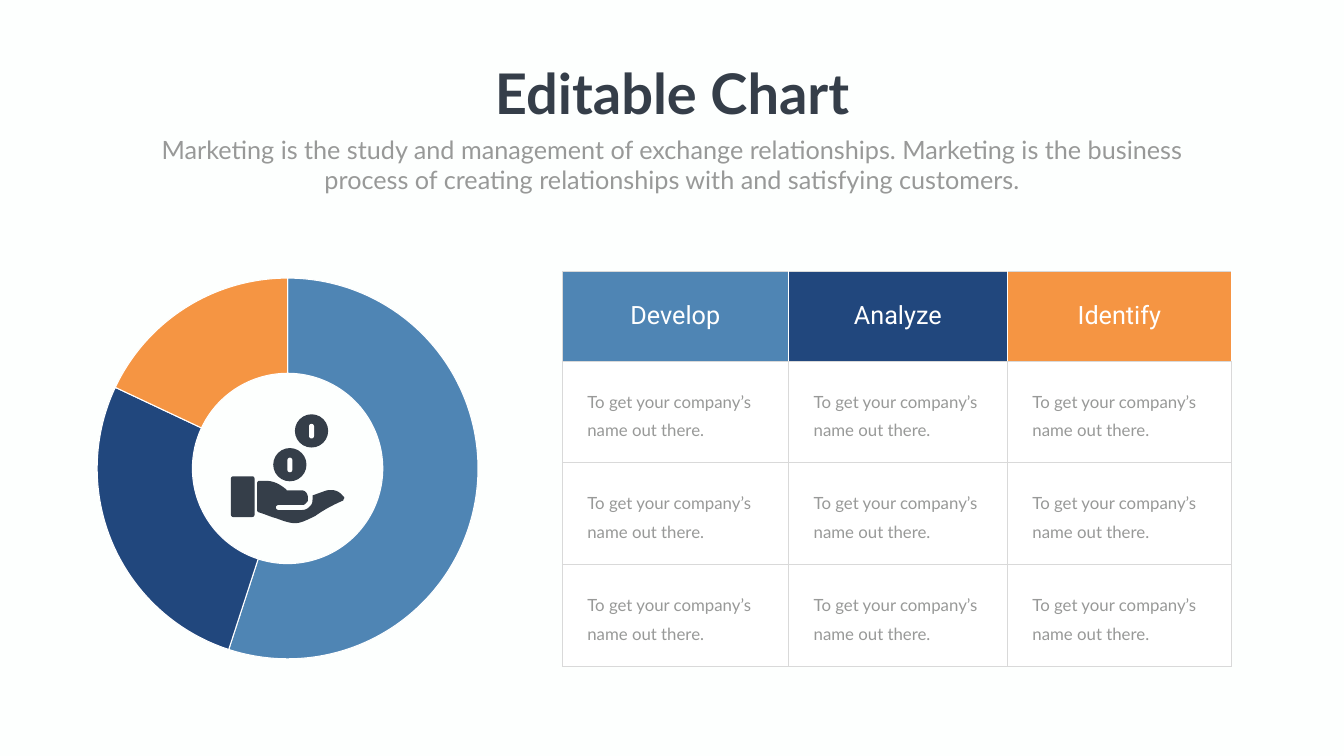
from lxml import etree
from pptx import Presentation
from pptx import util as u
from pptx.chart import data
from pptx.dml.color import RGBColor
from pptx.enum import chart as charts, shapes, text
from pptx.oxml import ns

DARK, GRAY, WHITE, BORDER = "353E49", "989998", "FFFFFF", "D9D9D9"
PALETTE = ["4F85B4", "21477D", "F59543"]
color = RGBColor.from_string


def add_run(paragraph, words, size, font_name, hex_color, bold=False):
    run = paragraph.add_run()
    run.text = words
    run.font.size = u.Pt(size)
    run.font.name = font_name
    run.font.bold = bold
    run.font.color.rgb = color(hex_color)


def paint(shape, hex_color):
    shape.shadow.inherit = False
    shape.fill.solid()
    shape.fill.fore_color.rgb = color(hex_color)
    shape.line.fill.background()


presentation = Presentation()
presentation.slide_width = u.Inches(26.66)
presentation.slide_height = u.Inches(15)
slide = presentation.slides.add_slide(presentation.slide_layouts[0])
slide.background.fill.solid()
slide.background.fill.fore_color.rgb = color("FDFFFE")

title, subtitle = slide.placeholders
summary = ("Marketing is the study and management of exchange relationships. "
           "Marketing is the business process of creating relationships with "
           "and satisfying customers.")
for placeholder, box, words, size, hex_color, bold in [
    (title, (9.65, 1.12, 7.37, 1.45), "Editable Chart", 80, DARK, True),
    (subtitle, (2.92, 2.61, 20.82, 1.31), summary, 36, GRAY, False),
]:
    placeholder.left, placeholder.top, placeholder.width, placeholder.height = map(u.Inches, box)
    frame = placeholder.text_frame
    frame.word_wrap = not bold
    frame.auto_size = text.MSO_AUTO_SIZE.SHAPE_TO_FIT_TEXT
    frame.vertical_anchor = text.MSO_ANCHOR.TOP
    paragraph = frame.paragraphs[0]
    paragraph.alignment = text.PP_ALIGN.CENTER
    paragraph.space_before = u.Pt(0)
    add_run(paragraph, words, size, "Lato", hex_color, bold)

headings = ["Develop", "Analyze", "Identify"]
column_widths = [4.49, 4.34, 4.45]
row_heights = [1.78, 2.02, 2.02, 2.02]
table = slide.shapes.add_table(4, 3, u.Inches(11.15), u.Inches(5.38),
                               u.Inches(13.28), u.Inches(7.83)).table
table.first_row = False
table.horz_banding = False
for column, width in zip(table.columns, column_widths):
    column.width = u.Inches(width)
for row_index, (row, height) in enumerate(zip(table.rows, row_heights)):
    row.height = u.Inches(height)
    for column_index, cell in enumerate(row.cells):
        is_header = row_index == 0
        cell.fill.solid()
        cell.fill.fore_color.rgb = color(PALETTE[column_index] if is_header else WHITE)
        cell.vertical_anchor = text.MSO_ANCHOR.MIDDLE
        paragraph = cell.text_frame.paragraphs[0]
        if is_header:
            paragraph.alignment = text.PP_ALIGN.CENTER
            add_run(paragraph, headings[column_index], 36, "Roboto", WHITE)
        else:
            cell.margin_left = u.Inches(0.5)
            paragraph.line_spacing = u.Pt(40.8)
            add_run(paragraph, "To get your company’s name out there.", 24, "Lato", GRAY)
        properties = cell._tc.get_or_add_tcPr()
        for position, side in enumerate(["lnL", "lnR", "lnT", "lnB"]):
            divider = is_header and (side == "lnR" or side == "lnL" and column_index > 0)
            line = etree.Element(ns.qn("a:" + side), w=str(u.Pt(0.5 if divider else 1)))
            fill = etree.SubElement(line, ns.qn("a:solidFill"))
            etree.SubElement(fill, ns.qn("a:srgbClr"), val=WHITE if divider else BORDER)
            properties.insert(position, line)

chart_data = data.CategoryChartData()
chart_data.categories = ["1", "2", "3"]
chart_data.add_series("Series 1", [55, 27, 18])
chart = slide.shapes.add_chart(charts.XL_CHART_TYPE.DOUGHNUT, u.Inches(1.53), u.Inches(5.38),
                               u.Inches(8.35), u.Inches(7.83), chart_data).chart
chart.has_legend = False
chart.has_title = False
chart.font.size = u.Pt(10)
chart.font.name = "Calibri"
chart.font.color.rgb = color(GRAY)
plot = chart.plots[0]
plot.vary_by_categories = True
plot._element.find(ns.qn("c:holeSize")).set("val", "75")
for index, hex_color in enumerate(PALETTE):
    point = plot.series[0].points[index]
    point.format.fill.solid()
    point.format.fill.fore_color.rgb = color(hex_color)
    point.format.line.color.rgb = color(WHITE)
    point.format.line.width = u.Pt(1.5)

icon_parts = [
    (shapes.MSO_SHAPE.ROUNDED_RECTANGLE, 4.58, 9.45, 0.47, 0.81, 0.1, DARK),
]
for left, top in [(5.85, 8.22), (5.42, 8.89)]:
    icon_parts += [
        (shapes.MSO_SHAPE.OVAL, left, top, 0.66, 0.66, None, DARK),
        (shapes.MSO_SHAPE.ROUNDED_RECTANGLE, left + 0.28, top + 0.19, 0.1, 0.29, 0.5, WHITE),
    ]
for kind, left, top, width, height, rounding, hex_color in icon_parts:
    part = slide.shapes.add_shape(kind, u.Inches(left), u.Inches(top),
                                  u.Inches(width), u.Inches(height))
    if rounding:
        part.adjustments[0] = rounding
    paint(part, hex_color)

hand_start = (6.81, 9.85)
hand_curves = [
    [(6.72, 9.73), (6.62, 9.71), (6.48, 9.73)],
    [(6.2, 9.83)],
    [(6.2, 9.85), (6.2, 9.85), (6.2, 9.88)],
    [(6.2, 9.95), (6.2, 10), (6.15, 10.04)],
    [(6.11, 10.09), (6.06, 10.12), (5.99, 10.12)],
    [(5.52, 10.12)],
    [(5.5, 10.12), (5.47, 10.09), (5.47, 10.07)],
    [(5.47, 10.04), (5.5, 10.02), (5.52, 10.02)],
    [(5.99, 10.02)],
    [(6.04, 10.02), (6.06, 10), (6.08, 9.97)],
    [(6.11, 9.95), (6.11, 9.93), (6.11, 9.88)],
    [(6.11, 9.83), (6.08, 9.73), (5.99, 9.73)],
    [(5.71, 9.73)],
    [(5.68, 9.73), (5.68, 9.73), (5.68, 9.71)],
    [(5.64, 9.69), (5.5, 9.54), (5.28, 9.54)],
    [(5.14, 9.54)],
    [(5.12, 9.54), (5.1, 9.57), (5.1, 9.59)],
    [(5.1, 10.12)],
    [(5.1, 10.14), (5.12, 10.16), (5.12, 10.16)],
    [(5.28, 10.21), (5.38, 10.26), (5.47, 10.28)],
    [(5.66, 10.35), (5.75, 10.38), (5.85, 10.38)],
    [(5.97, 10.38), (6.06, 10.33), (6.25, 10.24)],
    [(6.36, 10.16), (6.55, 10.04), (6.81, 9.93)],
    [(6.81, 9.9), (6.83, 9.9), (6.83, 9.88)],
    [(6.83, 9.88), (6.83, 9.85), (6.81, 9.85)],
]
steps = 8
outline = [hand_start]
for curve in hand_curves:
    if len(curve) == 1:
        outline += curve
        continue
    controls = [outline[-1]] + curve
    for step in range(1, steps + 1):
        t = step / steps
        weights = [(1 - t) ** 3, 3 * t * (1 - t) ** 2, 3 * t ** 2 * (1 - t), t ** 3]
        outline.append(tuple(sum(weight * control[axis] for weight, control in zip(weights, controls))
                             for axis in (0, 1)))
hand_points = [(u.Inches(x), u.Inches(y)) for x, y in outline]
builder = slide.shapes.build_freeform(*hand_points[0])
builder.add_line_segments(hand_points[1:], close=True)
paint(builder.convert_to_shape(), DARK)

presentation.save("out.pptx")
